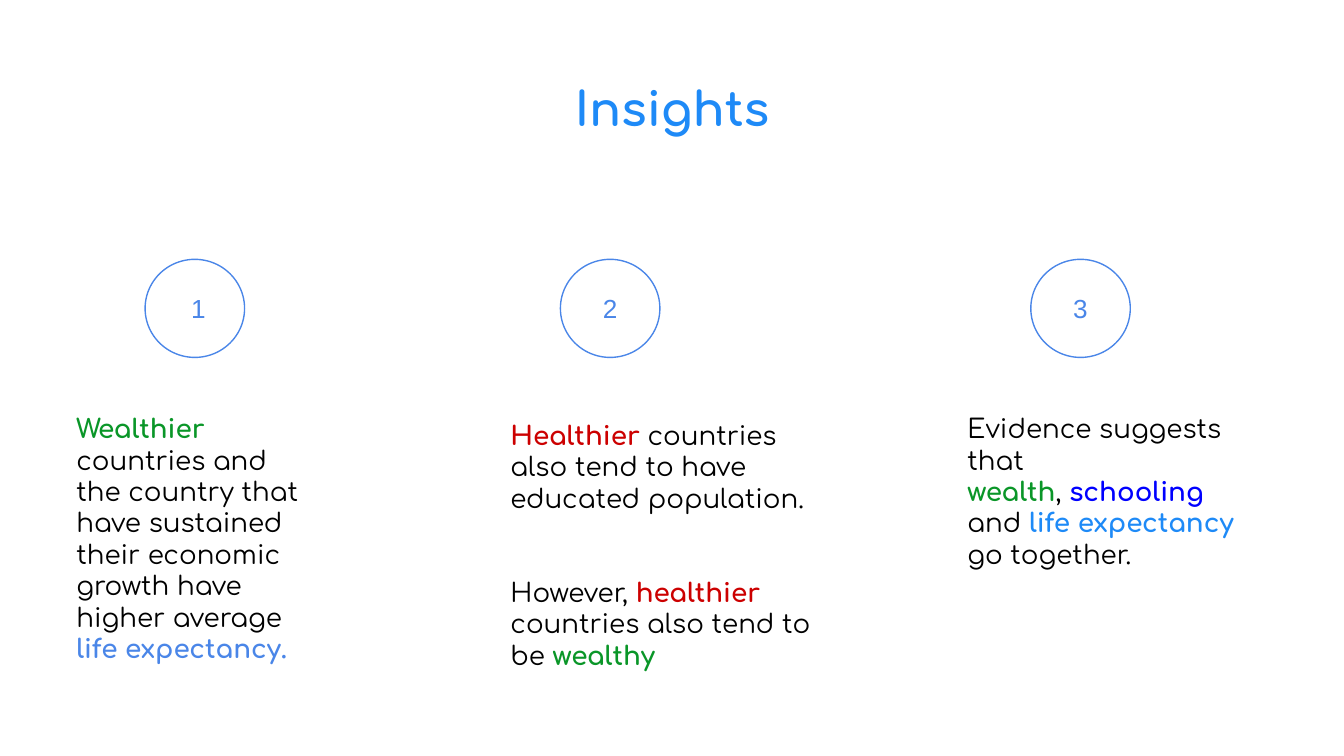
from dataclasses import dataclass

from pptx import Presentation
from pptx.dml.color import RGBColor
from pptx.enum.shapes import MSO_SHAPE
from pptx.enum.text import MSO_ANCHOR, PP_ALIGN
from pptx.util import Inches, Pt

BLACK, GREEN, RED = "000000", "0A9628", "CC0000"
SKY, BLUE, PURE = "1E8AF7", "4A86E8", "0000FF"

Run = tuple[str, str]


@dataclass
class Insight:
    ring: float
    box: tuple[float, float, float, float]
    paras: list[list[Run]]
    gap: float = 0
    inset: float = 0.1


def paint(fill, color: str) -> None:
    fill.solid()
    fill.fore_color.rgb = RGBColor.from_string(color)


def write(shape, paras: list[list[Run]], *, size: float = 14,
          font: str = "Comfortaa", bold: bool | None = None,
          align=PP_ALIGN.LEFT, anchor=MSO_ANCHOR.TOP,
          gap: float = 0, inset: float = 0.1) -> None:
    """Fill a shape with coloured runs; unless bold is given, all but black is bold."""
    frame = shape.text_frame
    frame.word_wrap = True
    frame.vertical_anchor = anchor
    frame.margin_left = Inches(inset)
    frame.margin_right = frame.margin_top = frame.margin_bottom = Inches(0.1)
    for i, runs in enumerate(paras):
        para = frame.add_paragraph() if i else frame.paragraphs[0]
        para.alignment = align
        if i and gap:
            para.space_before = Pt(gap)
        for text, color in runs:
            run = para.add_run()
            run.text = text
            run.font.name = font
            run.font.size = Pt(size)
            run.font.bold = color != BLACK if bold is None else bold
            paint(run.font.fill, color)


def add_text(slide, box: tuple[float, float, float, float],
             paras: list[list[Run]], **style) -> None:
    write(slide.shapes.add_textbox(*map(Inches, box)), paras, **style)


def add_ring(slide, left: float, label: str, inset: float) -> None:
    ring = slide.shapes.add_shape(MSO_SHAPE.OVAL, Inches(left), Inches(1.93),
                                  Inches(0.74), Inches(0.73))
    ring.shadow.inherit = False
    paint(ring.fill, "FFFFFF")
    paint(ring.line.fill, BLUE)
    ring.line.width = Pt(0.75)
    write(ring, [[(label, BLUE)]], font="Arial", bold=False, inset=inset,
          align=PP_ALIGN.CENTER, anchor=MSO_ANCHOR.MIDDLE)


INSIGHTS = [
    Insight(1.08, (0.47, 2.97, 1.99, 2.09), [[
        ("Wealthier ", GREEN),
        ("countries and the country that have sustained their economic "
         "growth have higher average ", BLACK),
        ("life expectancy.", BLUE)]], inset=0.15),
    Insight(4.17, (3.7, 3.02, 2.57, 2.09), [
        [("Healthier ", RED),
         ("countries also tend to have educated population.", BLACK)],
        [("However, ", BLACK), ("healthier ", RED),
         ("countries also tend to be ", BLACK), ("wealthy", GREEN)]], gap=33.6),
    Insight(7.67, (7.1, 2.97, 2.26, 1.38), [
        [("Evidence suggests that", BLACK)],
        [("wealth", GREEN), (", ", BLACK), ("schooling ", PURE),
         ("and ", BLACK), ("life expectancy ", SKY),
         ("go together.", BLACK)]]),
]


def main() -> None:
    deck = Presentation()
    deck.slide_width = Inches(10)
    deck.slide_height = Inches(10 * 9 / 16)
    slide = deck.slides.add_slide(deck.slide_layouts[6])
    add_text(slide, (0.34, 0.49, 9.32, 0.63), [[("Insights", SKY)]],
             size=25.2, align=PP_ALIGN.CENTER)
    for num, item in enumerate(INSIGHTS, 1):
        add_ring(slide, item.ring, str(num), item.inset)
        add_text(slide, item.box, item.paras, gap=item.gap)
    deck.save("out.pptx")


if __name__ == "__main__":
    main()
